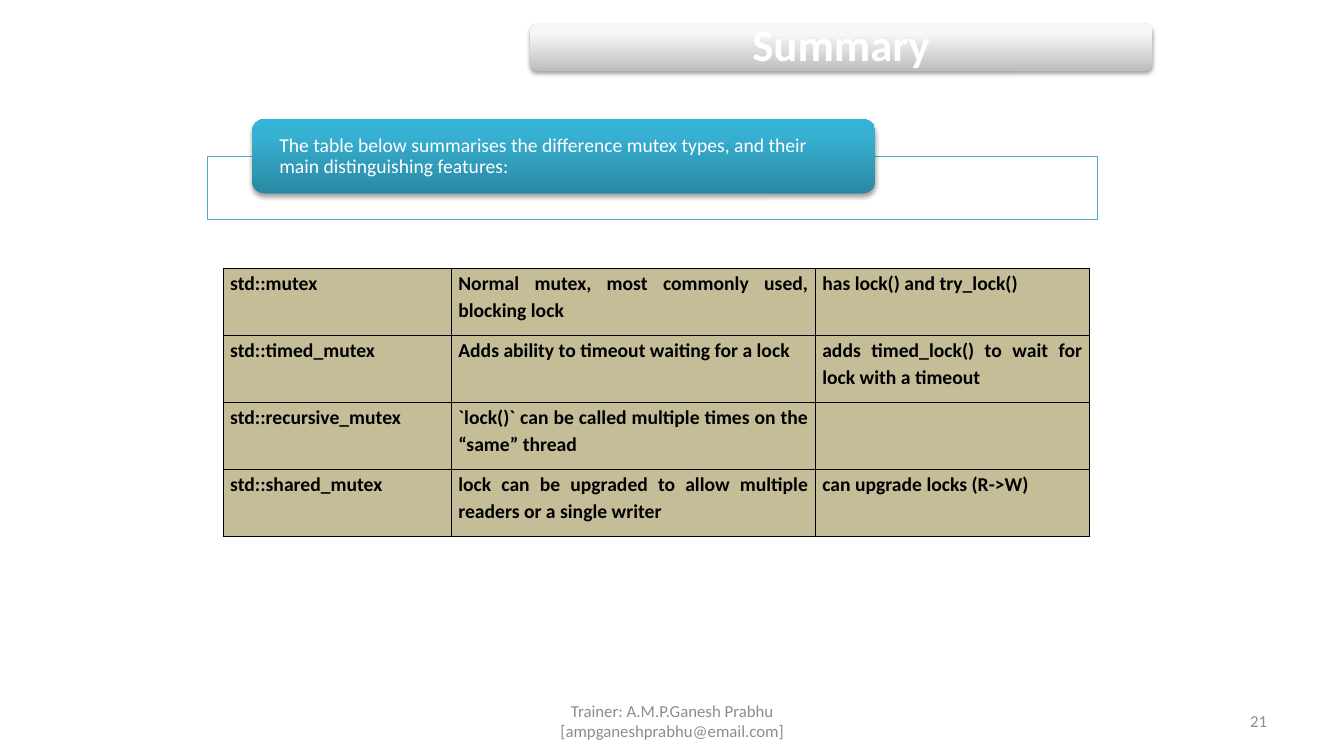
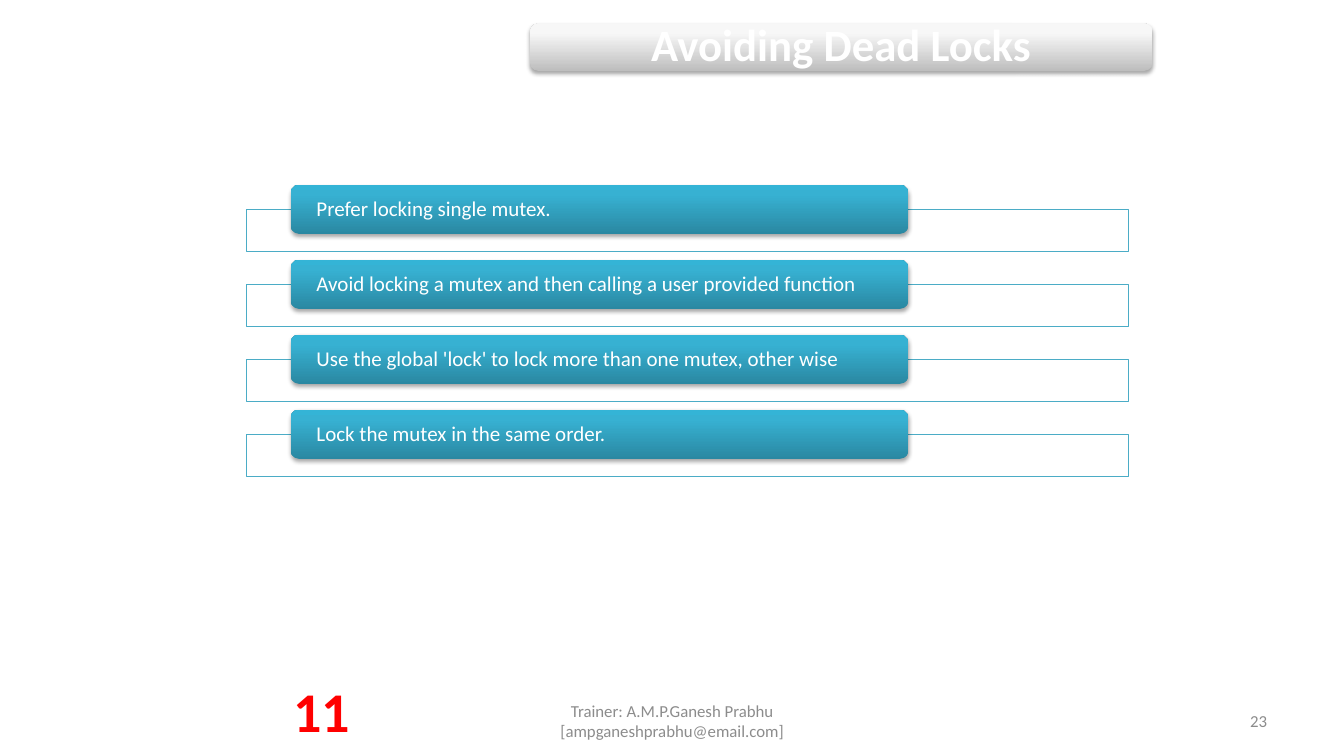
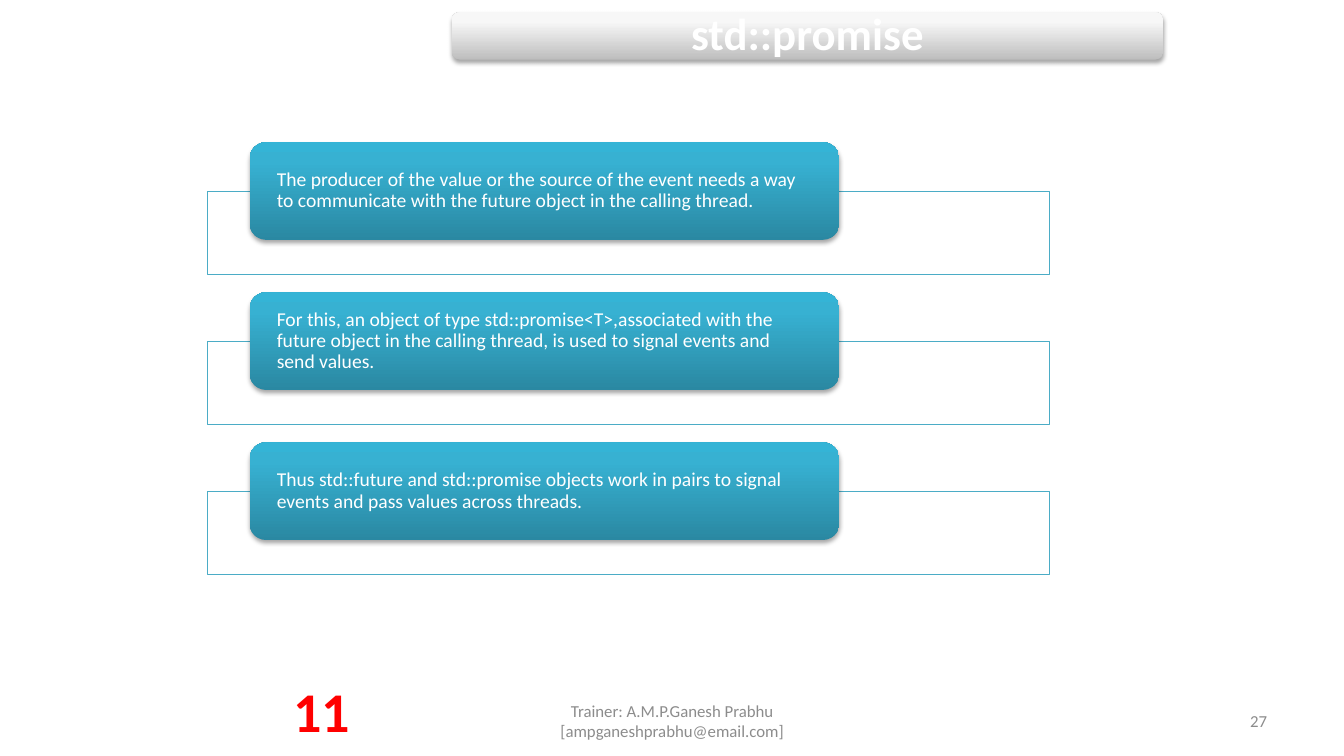
from copy import deepcopy

from lxml import etree
from pptx import Presentation
from pptx.dml.color import RGBColor
from pptx.enum.shapes import MSO_SHAPE
from pptx.enum.text import MSO_ANCHOR, PP_ALIGN
from pptx.oxml.ns import qn
from pptx.util import Pt

RECT, ROUNDED = MSO_SHAPE.RECTANGLE, MSO_SHAPE.ROUNDED_RECTANGLE
TOP, MIDDLE = MSO_ANCHOR.TOP, MSO_ANCHOR.MIDDLE
LEFT, CENTER = PP_ALIGN.LEFT, PP_ALIGN.CENTER
RIGHT, JUSTIFY = PP_ALIGN.RIGHT, PP_ALIGN.JUSTIFY

FONT = "Calibri"
WHITE, BLACK, RED, GREY = "FFFFFF", "000000", "FF0000", "8C8C8C"
FRAME_LINE, CELL_FILL = "4BACC6", "C4BD97"
TEAL_STOPS = [(0, "2A88A2"), (0.8, "37B1D2"), (1, "34B4D6")]
SILVER_STOPS = [(0, "BEBEBE"), (0.8, "F7F7F7"), (1, "F8F8F8")]

TRAINER = "Trainer: A.M.P.Ganesh Prabhu [ampganeshprabhu@email.com]"
CHAPTER = "11"
WIDE_TITLE, RIGHT_TITLE = (322.6, 8.8, 508.4, 33.8), (378.7, 16.8, 444.4, 33.8)

# "rows" holds left, first frame top, frame width, frame height, pitch
SLIDES = [
    {
        "title": "Summary", "title_box": RIGHT_TITLE, "number": "21",
        "rows": (148.3, 111.7, 635.8, 45.4, 0), "size": 14,
        "points": ["The table below summarises the difference mutex types, "
                   "and their main distinguishing features:"],
        "table": [
            ("std::mutex", "Normal mutex, most commonly used, blocking lock",
             "has lock() and try_lock()"),
            ("std::timed_mutex", "Adds ability to timeout waiting for a lock",
             "adds timed_lock() to wait for lock with a timeout"),
            ("std::recursive_mutex",
             "`lock()` can be called multiple times on the “same” thread", ""),
            ("std::shared_mutex",
             "lock can be upgraded to allow multiple readers or a single writer",
             "can upgrade locks (R->W)"),
        ],
    },
    {
        "title": "Avoiding Dead Locks", "title_box": RIGHT_TITLE, "number": "23",
        "chapter": CHAPTER,
        "rows": (176.2, 149.6, 630, 29.9, 53.55), "size": 15,
        "points": [
            "Prefer locking single mutex.",
            "Avoid locking a mutex and then calling a user provided function",
            "Use the global 'lock' to lock more than one mutex, other wise",
            "Lock the mutex in the same order.",
        ],
    },
    {
        "title": "std::promise", "title_box": WIDE_TITLE, "number": "27",
        "chapter": CHAPTER,
        "rows": (148.3, 136.5, 601.6, 59.6, 107.2), "size": 14,
        "points": [
            "The producer of the value or the source of the event needs a way to "
            "communicate with the future object in the calling thread.",
            "For this, an object of type std::promise<T>,associated with the future "
            "object in the calling thread, is used to signal events and send values.",
            "Thus std::future and std::promise objects work in pairs to signal "
            "events and pass values across threads.",
        ],
    },
]
TABLE_LEFT, TABLE_TOP, ROW_HEIGHT = 159.4, 191.5, 47.88
COLUMN_WIDTHS = (163, 260, 195.8)


def color(value):
    return RGBColor.from_string(value)


def points(*lengths):
    return [Pt(length) for length in lengths]


def write(frame, text, size, ink, align, bold=False, spacing=None, anchor=MIDDLE):
    frame.text = text
    frame.word_wrap = True
    frame.vertical_anchor = anchor
    paragraph = frame.paragraphs[0]
    paragraph.alignment = align
    paragraph.line_spacing = spacing
    for run in paragraph.runs:
        run.font.name, run.font.size, run.font.bold = FONT, Pt(size), bold
        run.font.color.rgb = color(ink)


def set_margins(holder, side, vertical=0):
    holder.margin_left = holder.margin_right = Pt(side)
    holder.margin_top = holder.margin_bottom = Pt(vertical)


def add_label(slide, box, *args, **style):
    frame = slide.shapes.add_textbox(*points(*box)).text_frame
    write(frame, *args, **style)
    return frame


def add_glossy_bar(slide, box, stops):
    """Rounded bar with a bottom-to-top gradient and a soft drop shadow."""
    bar = slide.shapes.add_shape(ROUNDED, *points(*box))
    bar.line.fill.background()
    bar.fill.gradient()
    bar.fill.gradient_angle = 90
    properties = bar.fill._xPr
    stop_list = properties.find(".//" + qn("a:gsLst"))
    stop_list.append(deepcopy(stop_list[0]))
    for stop, (position, tint) in zip(bar.fill.gradient_stops, stops):
        stop.position = position
        stop.color.rgb = color(tint)
    bar.shadow.inherit = False
    shadow = etree.SubElement(
        properties.find(qn("a:effectLst")), qn("a:outerShdw"),
        blurRad=str(Pt(3.1)), dist=str(Pt(1.8)), dir="5400000", rotWithShape="0")
    shade = etree.SubElement(shadow, qn("a:srgbClr"), val=BLACK)
    etree.SubElement(shade, qn("a:alpha"), val="35000")
    return bar


def add_points(slide, texts, rows, size):
    """Outlined frames, each with a bar centred on its top edge."""
    left, first_top, width, height, pitch = rows
    bar_height = height * 1.17
    for index, text in enumerate(texts):
        top = first_top + index * pitch
        frame = slide.shapes.add_shape(RECT, *points(left, top, width, height))
        frame.shadow.inherit = False
        frame.fill.solid()
        frame.fill.fore_color.rgb = color(WHITE)
        frame.line.color.rgb = color(FRAME_LINE)
        frame.line.width = Pt(0.75)
        bar_box = (left + width * 0.05, top - bar_height / 2, width * 0.7, bar_height)
        bar = add_glossy_bar(slide, bar_box, TEAL_STOPS)
        set_margins(bar.text_frame, width * 0.0265)
        write(bar.text_frame, text, size, WHITE, LEFT, spacing=0.9)


def add_borders(cell):
    properties = cell._tc.get_or_add_tcPr()
    for index, side in enumerate(("a:lnL", "a:lnR", "a:lnT", "a:lnB")):
        line = etree.Element(qn(side), w=str(Pt(1)))
        fill = etree.SubElement(line, qn("a:solidFill"))
        etree.SubElement(fill, qn("a:srgbClr"), val=BLACK)
        properties.insert(index, line)


def add_mutex_table(slide, rows):
    box = (TABLE_LEFT, TABLE_TOP, sum(COLUMN_WIDTHS), ROW_HEIGHT * len(rows))
    table = slide.shapes.add_table(
        len(rows), len(COLUMN_WIDTHS), *points(*box)).table
    table.first_row = table.horz_banding = False
    for column, width in zip(table.columns, COLUMN_WIDTHS):
        column.width = Pt(width)
    for row, texts in zip(table.rows, rows):
        row.height = Pt(ROW_HEIGHT)
        for cell, text in zip(row.cells, texts):
            write(cell.text_frame, text, 14, BLACK, JUSTIFY, True, 1.15, TOP)
            set_margins(cell, 5)
            cell.fill.solid()
            cell.fill.fore_color.rgb = color(CELL_FILL)
            add_borders(cell)


def add_title(slide, text, box):
    bar = add_glossy_bar(slide, box, SILVER_STOPS)
    set_margins(bar.text_frame, 9.4)
    write(bar.text_frame, text, 32, WHITE, CENTER, bold=True, spacing=0.9)


def add_footer(slide, number, chapter):
    add_label(slide, (328.3, 500.4, 303.8, 28.8), TRAINER, 12, GREY, CENTER)
    add_label(slide, (688.3, 500.4, 223.9, 28.8), number, 12, GREY, RIGHT)
    if chapter:
        label = add_label(slide, (201.6, 479.5, 56.2, 55.4), chapter, 40, RED,
                          CENTER, bold=True, anchor=TOP)
        label.word_wrap = False


def main():
    deck = Presentation()
    deck.slide_width, deck.slide_height = points(960, 540)
    for content in SLIDES:
        slide = deck.slides.add_slide(deck.slide_layouts[6])
        add_title(slide, content["title"], content["title_box"])
        add_points(slide, content["points"], content["rows"], content["size"])
        if "table" in content:
            add_mutex_table(slide, content["table"])
        add_footer(slide, content["number"], content.get("chapter"))
    deck.save("out.pptx")


if __name__ == "__main__":
    main()
